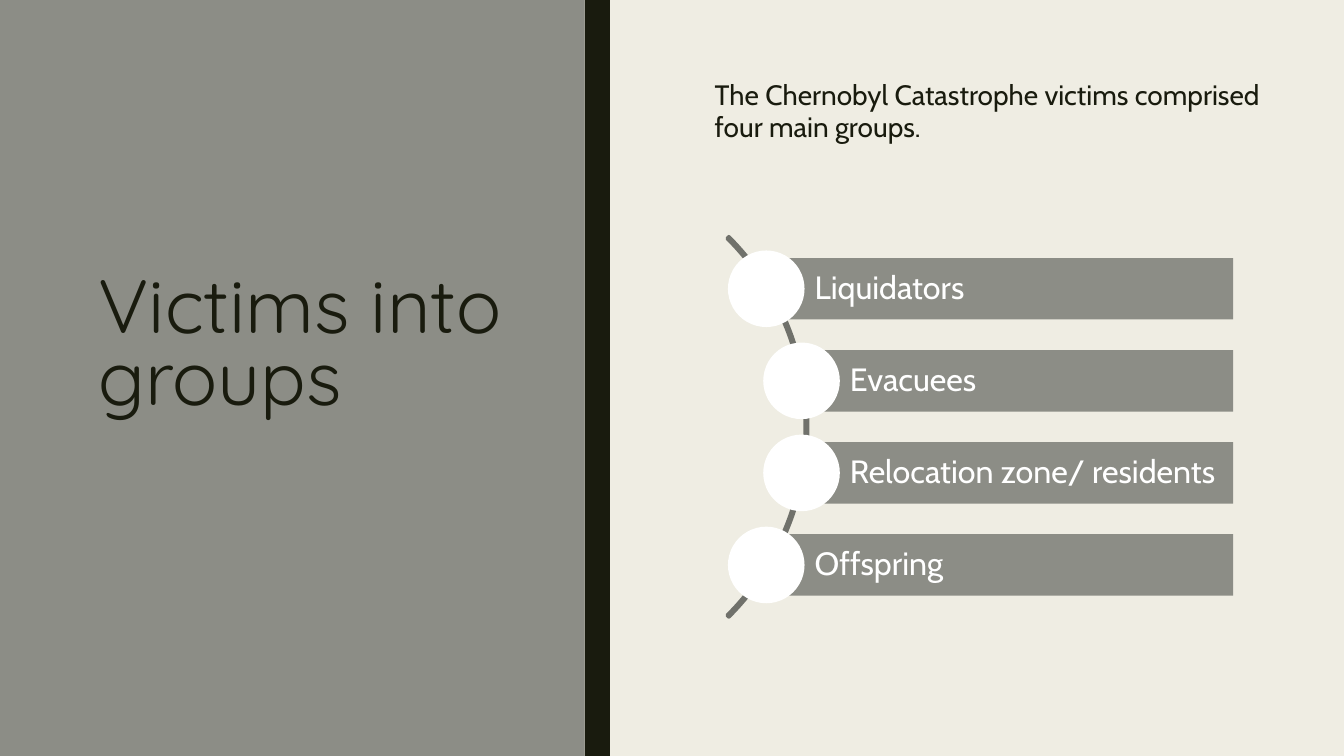
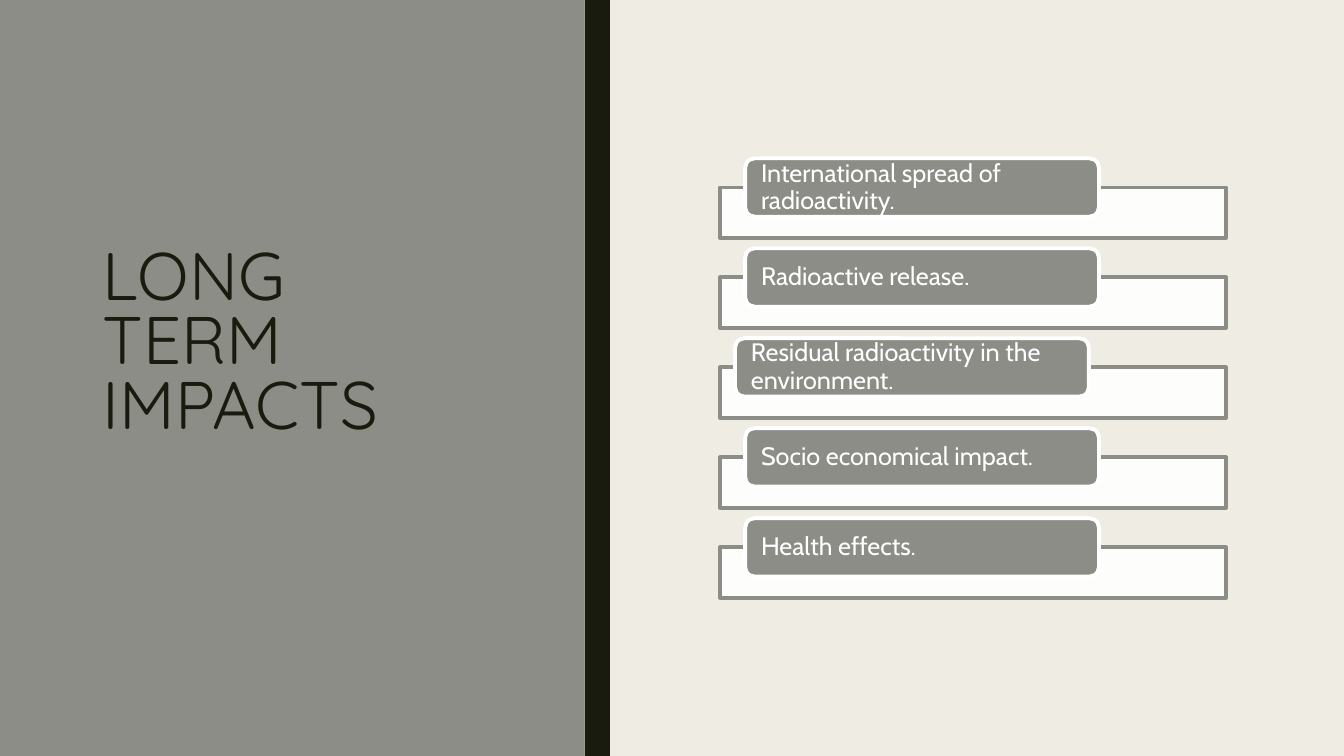
import pptx
import pptx.util
import pptx.dml.color
import pptx.enum.shapes
import pptx.enum.text
import pptx.oxml.ns
import lxml.etree

Inches = pptx.util.Inches
SHAPES = pptx.enum.shapes.MSO_SHAPE
ANCHORS = pptx.enum.text.MSO_ANCHOR

CREAM, GREY, DARK, ARC_GREY, WHITE = "EFEDE3", "8C8D86", "191B0E", "70716B", "FFFFFF"
TITLE_FONT, BODY_FONT = "Quicksand", "Cabin"
LINE_WIDTH = 2.75

GROUPS_TITLE = "Victims into groups"
GROUPS_INTRO = "The Chernobyl Catastrophe victims comprised four main groups."
VICTIM_GROUPS = [
    ("Liquidators", 7.6),
    ("Evacuees", 7.95),
    ("Relocation zone/ residents", 7.95),
    ("Offspring", 7.6),
]
IMPACTS_TITLE = "LONG TERM IMPACTS"
IMPACTS = [
    ("International spread of radioactivity.", 7.39),
    ("Radioactive release.", 7.39),
    ("Residual radioactivity in the environment.", 7.29),
    ("Socio economical impact.", 7.39),
    ("Health effects.", 7.39),
]


def color(value):
    return pptx.dml.color.RGBColor.from_string(value)


def add_shape(slide, kind, box, fill=None, line=None):
    shape = slide.shapes.add_shape(kind, *map(Inches, box))
    shape.shadow.inherit = False
    if fill:
        shape.fill.solid()
        shape.fill.fore_color.rgb = color(fill)
    else:
        shape.fill.background()
    if line:
        shape.line.color.rgb = color(line)
        shape.line.width = pptx.util.Pt(LINE_WIDTH)
    else:
        shape.line.fill.background()
    return shape


def set_text(shape, text, font, size, text_color, spacing, anchor, insets):
    frame = shape.text_frame
    frame.text = text
    frame.word_wrap = True
    frame.vertical_anchor = anchor
    frame.margin_left, frame.margin_top, frame.margin_right, frame.margin_bottom = map(Inches, insets)
    paragraph = frame.paragraphs[0]
    paragraph.alignment = pptx.enum.text.PP_ALIGN.LEFT
    paragraph.line_spacing = spacing
    for run in paragraph.runs:
        run.font.name = font
        run.font.size = pptx.util.Pt(size)
        run.font.color.rgb = color(text_color)


def add_text(slide, box, text, font, size, spacing):
    shape = slide.shapes.add_textbox(*map(Inches, box))
    set_text(shape, text, font, size, DARK, spacing, ANCHORS.TOP, (0.1, 0.05, 0.1, 0.05))


def set_alpha(shape, percent):
    fill_color = shape._element.spPr.find(".//" + pptx.oxml.ns.qn("a:srgbClr"))
    alpha = lxml.etree.SubElement(fill_color, pptx.oxml.ns.qn("a:alpha"))
    alpha.set("val", str(percent * 1000))


def add_slide(presentation, title, title_box, title_size):
    slide = presentation.slides.add_slide(presentation.slide_layouts[6])
    slide.background.fill.solid()
    slide.background.fill.fore_color.rgb = color(CREAM)
    add_shape(slide, SHAPES.RECTANGLE, (0, 0, 5.8, 7.5), GREY)
    add_shape(slide, SHAPES.RECTANGLE, (5.8, 0, 0.25, 7.5), DARK)
    add_text(slide, title_box, title, TITLE_FONT, title_size, 0.8)
    return slide


def build_groups(presentation):
    slide = add_slide(presentation, GROUPS_TITLE, (0.88, 2.68, 4.22, 2.72), 54)
    add_text(slide, (6.99, 0.75, 5.7, 1), GROUPS_INTRO, BODY_FONT, 20, 0.94)
    arc = add_shape(slide, SHAPES.BLOCK_ARC, (2.68, 1.57, 5.33, 5.33), line=ARC_GREY)
    for index, value in enumerate((189, 27, 0.004)):
        arc.adjustments[index] = value
    arc.line._get_or_add_ln().set("cap", "rnd")

    first_top, last_top, right = 2.56, 5.3, 12.23
    bar_height, diameter = 0.61, 0.76
    pitch = (last_top - first_top) / (len(VICTIM_GROUPS) - 1)
    for index, (name, left) in enumerate(VICTIM_GROUPS):
        top = first_top + index * pitch
        bar = add_shape(slide, SHAPES.RECTANGLE, (left, top, right - left, bar_height), GREY)
        set_text(bar, name, BODY_FONT, 23, WHITE, 0.9, ANCHORS.MIDDLE, (0.48, 0.06, 0.06, 0.06))
        circle_top = top + (bar_height - diameter) / 2
        add_shape(slide, SHAPES.OVAL, (left - diameter / 2, circle_top, diameter, diameter), WHITE)


def build_impacts(presentation):
    slide = add_slide(presentation, IMPACTS_TITLE, (0.92, 2.42, 3.4, 2.36), 48)
    first_top, last_top, frame_drop = 1.57, 5.14, 0.29
    pitch = (last_top - first_top) / (len(IMPACTS) - 1)
    for index, (impact, left) in enumerate(IMPACTS):
        top = first_top + index * pitch
        frame = add_shape(slide, SHAPES.RECTANGLE, (7.14, top + frame_drop, 5.02, 0.5), WHITE, GREY)
        set_alpha(frame, 90)
        label = add_shape(slide, SHAPES.ROUNDED_RECTANGLE, (left, top, 3.51, 0.58), GREY, WHITE)
        set_text(label, impact, BODY_FONT, 18, WHITE, 0.9, ANCHORS.MIDDLE, (0.13, 0, 0.13, 0))


def main():
    presentation = pptx.Presentation()
    presentation.slide_width = Inches(13.33)
    presentation.slide_height = Inches(7.5)
    build_groups(presentation)
    build_impacts(presentation)
    presentation.save("out.pptx")


if __name__ == "__main__":
    main()
